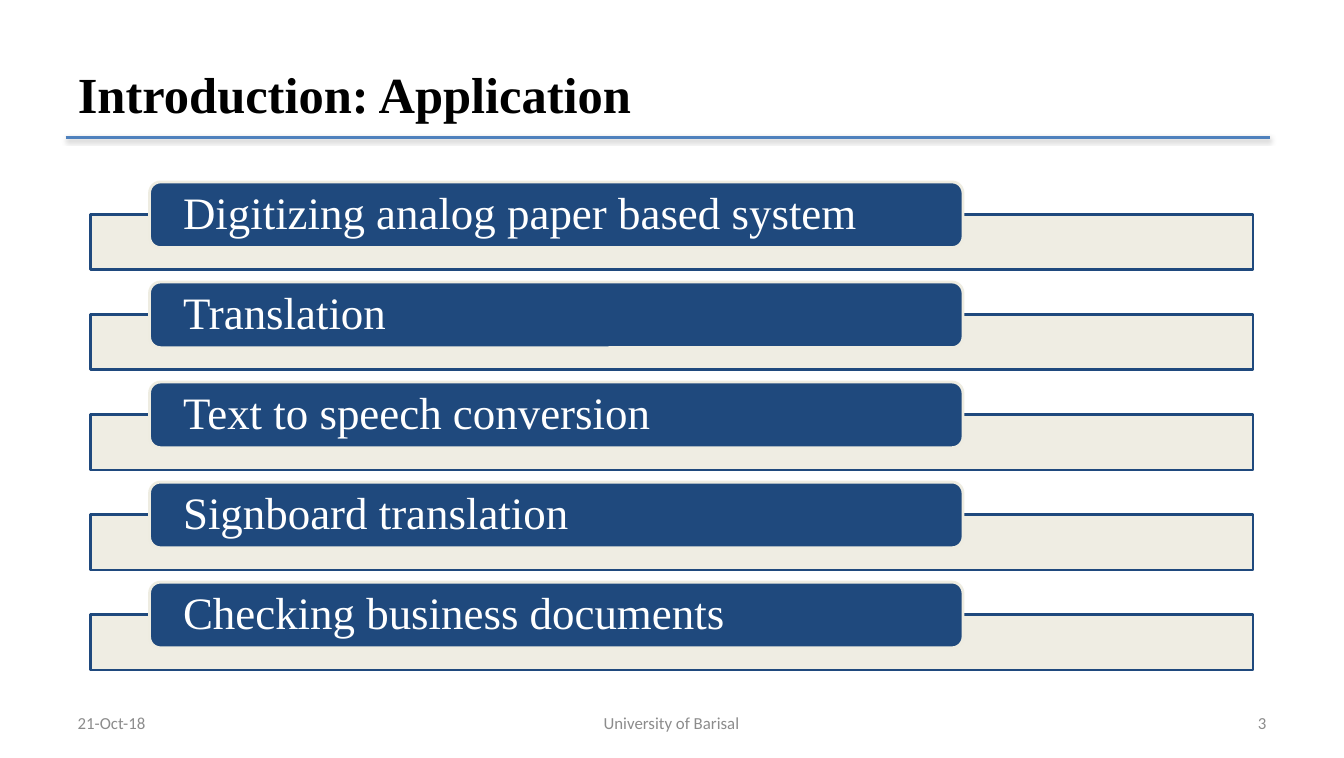
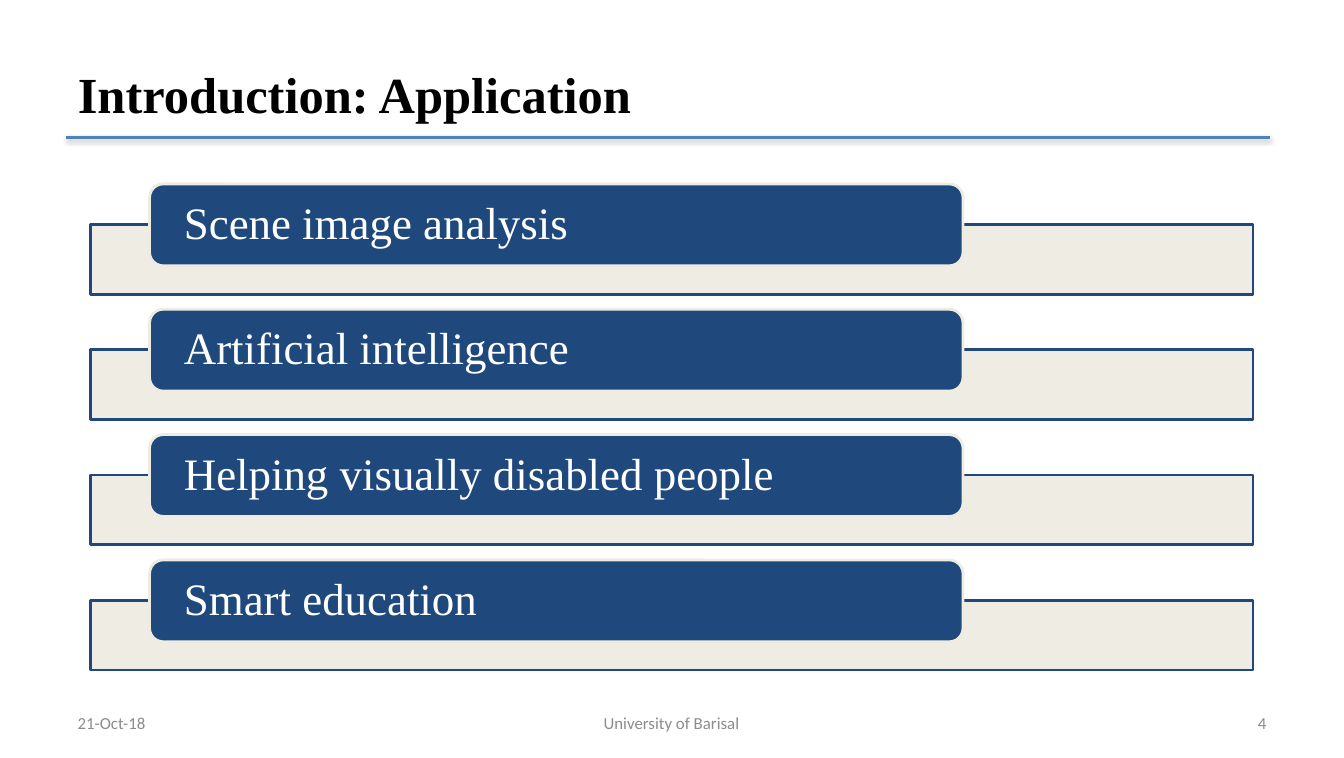
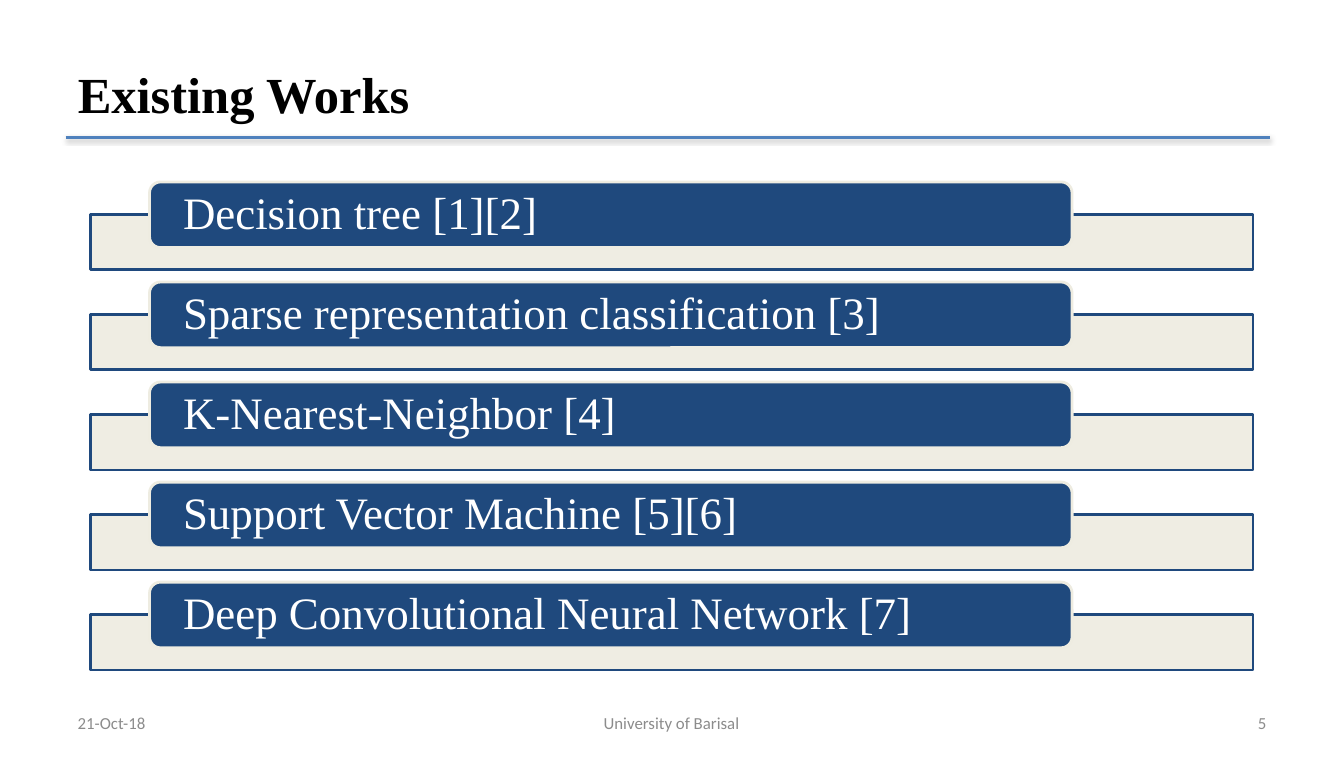
"""Build three slides of labelled bars on applications and existing works."""
import dataclasses

import lxml.etree
import pptx
import pptx.dml.color
import pptx.enum.shapes
import pptx.enum.text
import pptx.oxml
import pptx.oxml.ns
import pptx.util

RGB = pptx.dml.color.RGBColor
ALIGN = pptx.enum.text.PP_ALIGN
SHAPE = pptx.enum.shapes.MSO_SHAPE
MIDDLE = pptx.enum.text.MSO_ANCHOR.MIDDLE

PX = 9144
SLIDE_SIZE = (1330, 750)
TITLE_BOX = (67, 30, 1197, 125)
RULE_ENDS = (65, 136, 1257, 136)
BAR_LEFT, BAR_WIDTH = 90, 1150
PILL_LEFT, PILL_INSET = 148, 30

NAVY = RGB(0x1F, 0x49, 0x7D)
CREAM = RGB(0xEE, 0xEC, 0xE1)
BLUE = RGB(0x4F, 0x81, 0xBD)
GREY = RGB(0x8C, 0x8C, 0x8C)
BLACK = RGB(0, 0, 0)
WHITE = RGB(0xFF, 0xFF, 0xFF)

TITLE_FONT = {"name": "Times New Roman", "size": pptx.util.Pt(36), "bold": True}
PILL_FONT = {"name": "Times New Roman", "size": pptx.util.Pt(32)}
FOOTER_FONT = {"name": "Calibri", "size": pptx.util.Pt(12)}
FRAME = {"word_wrap": True, "vertical_anchor": MIDDLE}
PILL_FRAME = FRAME | {
    "margin_left": PILL_INSET * PX,
    "margin_right": PILL_INSET * PX,
    "margin_top": 0,
    "margin_bottom": 0,
}
RULE_SHADOW = (
    f'<a:effectLst {pptx.oxml.ns.nsdecls("a")}>'
    '<a:outerShdw blurRad="40000" dist="20000" dir="5400000" rotWithShape="0">'
    '<a:srgbClr val="000000"><a:alpha val="38000"/></a:srgbClr>'
    "</a:outerShdw></a:effectLst>"
)


@dataclasses.dataclass(frozen=True)
class Rows:
    """Vertical rhythm of a list of bars, in px."""

    top: int
    pitch: int
    pill_height: int
    bar_height: int


FIVE_ROWS = Rows(180, 99, 65, 55)
FOUR_ROWS = Rows(182, 124, 81, 69)

SLIDES = [
    ("Introduction: Application", FIVE_ROWS, 805, [
        "Digitizing analog paper based system",
        "Translation",
        "Text to speech conversion",
        "Signboard translation",
        "Checking business documents",
    ]),
    ("Introduction: Application", FOUR_ROWS, 805, [
        "Scene image analysis",
        "Artificial intelligence",
        "Helping visually disabled people",
        "Smart education",
    ]),
    ("Existing Works", FIVE_ROWS, 913, [
        "Decision tree [1][2]",
        "Sparse representation classification [3]",
        "K-Nearest-Neighbor [4]",
        "Support Vector Machine [5][6]",
        "Deep Convolutional Neural Network [7]",
    ]),
]


def emu(lengths):
    """Turn px lengths into EMU."""
    return [pptx.util.Emu(length * PX) for length in lengths]


def apply_format(target, values):
    """Set each named attribute of the target."""
    for name, value in values.items():
        setattr(target, name, value)


def write(frame, wording, font, color, align=ALIGN.LEFT, frame_format=FRAME):
    """Fill a text frame with one formatted paragraph."""
    apply_format(frame, frame_format)
    paragraph = frame.paragraphs[0]
    paragraph.alignment = align
    run = paragraph.add_run()
    run.text = wording
    apply_format(run.font, font)
    run.font.color.rgb = color
    return paragraph


def add_title(slide, wording):
    """Move and fill the title placeholder."""
    title = slide.shapes.title
    apply_format(title, dict(zip(("left", "top", "width", "height"), emu(TITLE_BOX))))
    write(title.text_frame, wording, TITLE_FONT, BLACK)


def add_rule(slide):
    """Draw the shadowed line below the title."""
    rule = slide.shapes.add_connector(
        pptx.enum.shapes.MSO_CONNECTOR.STRAIGHT, *emu(RULE_ENDS))
    rule.line.color.rgb = BLUE
    rule.line.width = pptx.util.Pt(2)
    rule._element.spPr.append(pptx.oxml.parse_xml(RULE_SHADOW))


def add_block(slide, preset, box, fill, outline):
    """Add a flat filled and outlined shape."""
    block = slide.shapes.add_shape(preset, *emu(box))
    block.shadow.inherit = False
    block.fill.solid()
    block.fill.fore_color.rgb = fill
    block.line.color.rgb = outline
    block.line.width = pptx.util.Pt(2)
    return block


def add_bar(slide, top, height):
    """Add a slightly transparent cream bar."""
    bar = add_block(slide, SHAPE.RECTANGLE, (BAR_LEFT, top, BAR_WIDTH, height), CREAM, NAVY)
    color = bar._element.spPr.find(".//" + pptx.oxml.ns.qn("a:srgbClr"))
    lxml.etree.SubElement(color, pptx.oxml.ns.qn("a:alpha"), val="90000")


def add_pill(slide, top, width, height, wording):
    """Add a rounded navy label."""
    pill = add_block(
        slide, SHAPE.ROUNDED_RECTANGLE, (PILL_LEFT, top, width, height), NAVY, CREAM)
    label = write(pill.text_frame, wording, PILL_FONT, WHITE, frame_format=PILL_FRAME)
    label.line_spacing = 0.9


def add_rows(slide, rows, pill_width, wordings):
    """Stack one bar and its label for each wording."""
    for index, wording in enumerate(wordings):
        top = rows.top + index * rows.pitch
        add_bar(slide, top + rows.pill_height // 2, rows.bar_height)
        add_pill(slide, top, pill_width, rows.pill_height, wording)


def add_footer(slide, number):
    """Add the date, slide number and university."""
    for left, width, wording, align in (
        (67, 310, "21-Oct-18", ALIGN.LEFT),
        (953, 310, str(number), ALIGN.RIGHT),
        (454, 421, "University of Barisal", ALIGN.CENTER),
    ):
        footer = slide.shapes.add_textbox(*emu((left, 695, width, 40)))
        write(footer.text_frame, wording, FOOTER_FONT, GREY, align)


def main():
    """Build and save the presentation."""
    deck = pptx.Presentation()
    deck.slide_width, deck.slide_height = emu(SLIDE_SIZE)
    for number, (title, rows, pill_width, wordings) in enumerate(SLIDES, start=3):
        slide = deck.slides.add_slide(deck.slide_layouts[5])
        add_title(slide, title)
        add_rows(slide, rows, pill_width, wordings)
        add_footer(slide, number)
        add_rule(slide)
    deck.save("out.pptx")


if __name__ == "__main__":
    main()
